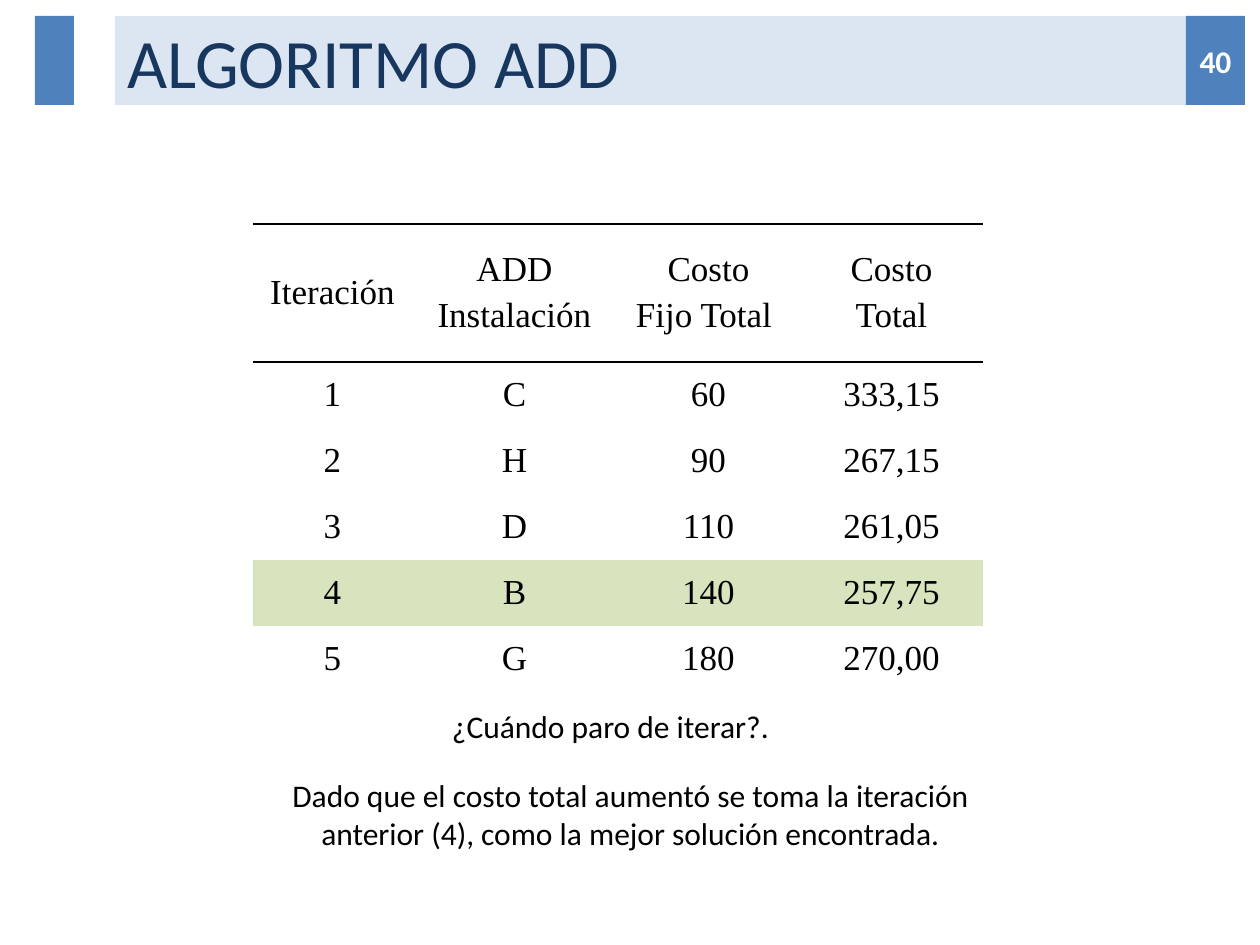
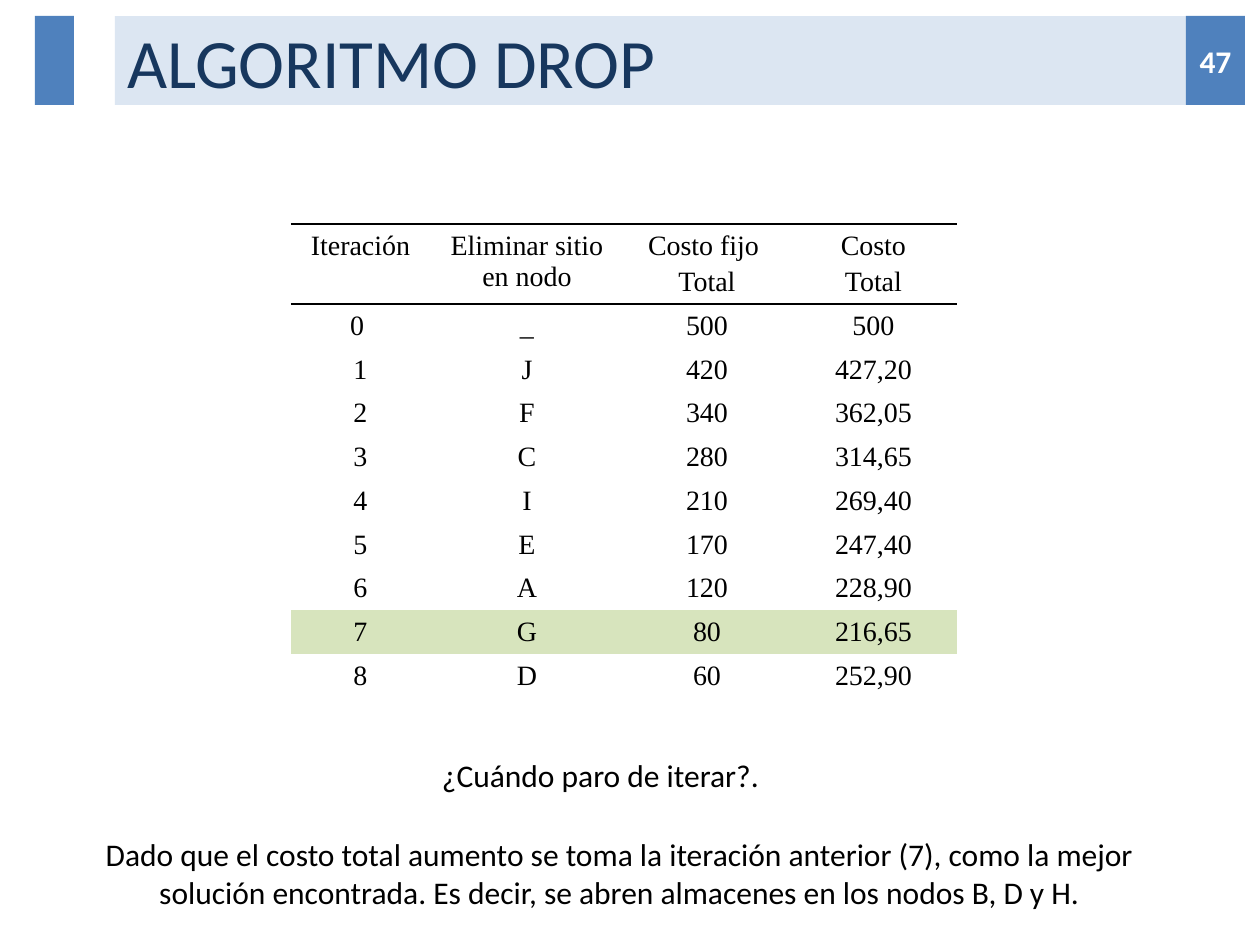
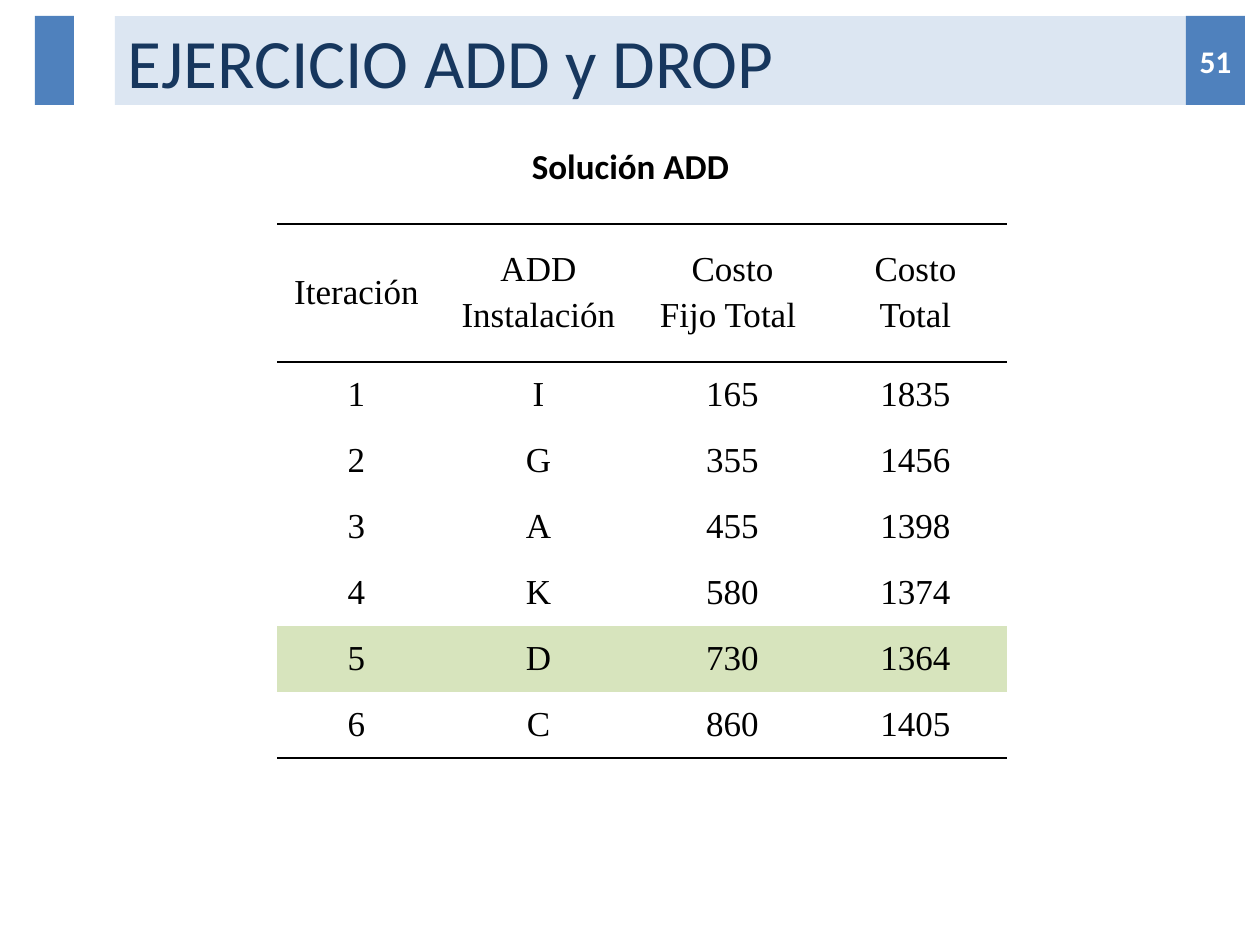
from dataclasses import dataclass

from lxml import etree
from pptx import Presentation
from pptx.dml.color import RGBColor
from pptx.enum.shapes import MSO_SHAPE
from pptx.enum.text import MSO_ANCHOR, MSO_AUTO_SIZE, PP_ALIGN
from pptx.oxml.ns import qn
from pptx.util import Emu, Pt

RECT = MSO_SHAPE.RECTANGLE
LEFT, CENTER = PP_ALIGN.LEFT, PP_ALIGN.CENTER
TOP, MIDDLE = MSO_ANCHOR.TOP, MSO_ANCHOR.MIDDLE
NO_FIT = MSO_AUTO_SIZE.NONE

PX_PER_INCH = 126
BLUE, PALE_BLUE, NAVY = "4F81BD", "DCE6F2", "17375E"
GREEN, BLACK, WHITE = "D7E4BD", "000000", "FFFFFF"
SANS, SERIF = "Calibri", "Times New Roman"
PLAIN_TABLE = "{2D5ABB26-0587-4C30-8999-92F81FD0307C}"
TITLE_ONLY = 5
BAND_TOP, BAND_H = 16, 89


@dataclass(frozen=True)
class Box:
    x: int
    y: int
    w: int
    h: int


@dataclass(frozen=True)
class Style:
    size: float
    color: str = BLACK
    font: str = SANS
    bold: bool = False
    align: PP_ALIGN = CENTER


@dataclass(frozen=True)
class Note:
    text: str
    box: Box
    style: Style
    anchor: MSO_ANCHOR = TOP


@dataclass(frozen=True)
class TableLook:
    cols: tuple[int, ...]
    header_h: int
    row_h: int
    size: int
    gap: int
    anchor: MSO_ANCHOR


@dataclass(frozen=True)
class CostTable:
    x: int
    look: TableLook
    rows: tuple[tuple[str, ...], ...]
    best: int
    closed: bool = False


@dataclass(frozen=True)
class Page:
    title: str
    number: int
    table: CostTable
    notes: tuple[Note, ...]


TITLE = Style(39.6, NAVY, align=LEFT)
NUMBER = Style(18, WHITE, bold=True)
BODY = Style(18)
HEADING = Style(20, bold=True)

# Frame shared by all slides
TITLE_BAND = Box(115, BAND_TOP, 1111, BAND_H)
SIDE_BAR = Box(35, BAND_TOP, 39, BAND_H)
NUMBER_TAB = Box(1186, BAND_TOP, 59, BAND_H)
TABLE_TOP = 224

ADD_LOOK = TableLook((159, 205, 183, 183), 138, 66, 20, 4, MIDDLE)
DROP_LOOK = TableLook((139, 194, 166, 167), 80, 43, 16, 3, TOP)
ADD_HEADER = ("Iteración", "ADD\nInstalación", "Costo\nFijo Total ", "Costo\nTotal")
DROP_HEADER = ("Iteración", "Eliminar sitio en nodo", "Costo fijo \nTotal", "Costo\nTotal")
QUESTION = "¿Cuándo paro de iterar?."

PAGES = (
    Page("ALGORITMO ADD", 40,
         CostTable(253, ADD_LOOK, (
             ADD_HEADER,
             ("1", "C", "60", "333,15"),
             ("2", "H", "90", "267,15"),
             ("3", "D", "110", "261,05"),
             ("4", "B", "140", "257,75"),
             ("5", "G", "180", "270,00"),
         ), best=4),
         (Note("Dado que el costo total aumentó se toma la iteración anterior (4), "
               "como la mejor solución encontrada.", Box(263, 770, 735, 89), BODY),
          Note(QUESTION, Box(243, 701, 735, 50), BODY))),
    Page("ALGORITMO DROP", 47,
         CostTable(291, DROP_LOOK, (
             DROP_HEADER,
             ("0 ", "_", "500", "500"),
             ("1", "J", "420", "427,20"),
             ("2", "F", "340", "362,05"),
             ("3", "C", "280", "314,65"),
             ("4", "I", "210", "269,40"),
             ("5", "E", "170", "247,40"),
             ("6", "A", "120", "228,90"),
             ("7", "G", "80", "216,65"),
             ("8", "D", "60", "252,90"),
         ), best=8),
         (Note("Dado que el costo total aumento se toma la iteración anterior (7), "
               "como la mejor solución encontrada. Es decir, se abren almacenes "
               "en los nodos B, D y H.", Box(74, 829, 1091, 89), BODY),
          Note(QUESTION, Box(233, 750, 735, 50), BODY))),
    Page("EJERCICIO ADD y DROP", 51,
         CostTable(277, ADD_LOOK, (
             ADD_HEADER,
             ("1", "I", "165", "1835"),
             ("2", "G", "355", "1456"),
             ("3", "A", "455", "1398"),
             ("4", "K", "580", "1374"),
             ("5", "D", "730", "1364"),
             ("6", "C", "860", "1405"),
         ), best=5, closed=True),
         (Note("Solución ADD", Box(25, 106, 1211, 118), HEADING, MIDDLE),)),
)


def px(n: int) -> Emu:
    return Emu(round(n * 914400 / PX_PER_INCH))


def place(box: Box) -> tuple[Emu, ...]:
    return px(box.x), px(box.y), px(box.w), px(box.h)


def rgb(color: str) -> RGBColor:
    return RGBColor.from_string(color)


def paint(sp, color: str) -> None:
    sp.fill.solid()
    sp.fill.fore_color.rgb = rgb(color)


def write(tf, text: str, style: Style, gap: int = 0) -> None:
    """Write one paragraph per line, with a gap between paragraphs."""
    for i, line in enumerate(text.split("\n")):
        p = tf.add_paragraph() if i else tf.paragraphs[0]
        p.alignment = style.align
        p.space_before = Pt(gap if i else 0)
        r = p.add_run()
        r.text = line
        r.font.size = Pt(style.size)
        r.font.name = style.font
        r.font.bold = style.bold
        r.font.color.rgb = rgb(style.color)


def add_bar(s, box: Box, color: str):
    sp = s.shapes.add_shape(RECT, *place(box))
    sp.shadow.inherit = False
    paint(sp, color)
    sp.line.fill.background()
    return sp


def add_frame(s, page: Page) -> None:
    """Title band, side bar and page number."""
    sp = s.shapes.title
    sp.left, sp.top, sp.width, sp.height = place(TITLE_BAND)
    paint(sp, PALE_BLUE)
    tf = sp.text_frame
    tf.auto_size = NO_FIT
    tf.vertical_anchor = MIDDLE
    write(tf, page.title, TITLE)

    add_bar(s, SIDE_BAR, BLUE)
    tf = add_bar(s, NUMBER_TAB, BLUE).text_frame
    tf.margin_left = tf.margin_right = 0
    tf.vertical_anchor = MIDDLE
    write(tf, str(page.number), NUMBER)


def add_note(s, note: Note) -> None:
    tf = s.shapes.add_textbox(*place(note.box)).text_frame
    tf.word_wrap = True
    tf.vertical_anchor = note.anchor
    write(tf, note.text, note.style)


def add_border(cell, side: str) -> None:
    """Rule one side of a cell; rules come before the fill in the XML."""
    ln = etree.Element(qn(f"a:{side}"), w=str(Pt(1)))
    fill = etree.SubElement(ln, qn("a:solidFill"))
    etree.SubElement(fill, qn("a:srgbClr"), val=BLACK)
    cell._tc.get_or_add_tcPr().insert(0, ln)


def add_cost_table(s, spec_table: CostTable) -> None:
    look, rows = spec_table.look, spec_table.rows
    last = len(rows) - 1
    heights = [look.header_h] + [look.row_h] * last
    box = Box(spec_table.x, TABLE_TOP, sum(look.cols), sum(heights))
    frame = s.shapes.add_table(len(rows), len(look.cols), *place(box))
    table = frame.table
    table.first_row = table.horz_banding = False
    next(frame.element.iter(qn("a:tableStyleId"))).text = PLAIN_TABLE
    for col, w in zip(table.columns, look.cols):
        col.width = px(w)
    for row, h in zip(table.rows, heights):
        row.height = px(h)

    style = Style(look.size, font=SERIF)
    for i, values in enumerate(rows):
        for j, value in enumerate(values):
            cell = table.cell(i, j)
            cell.vertical_anchor = look.anchor
            write(cell.text_frame, value, style, look.gap)
            if i == spec_table.best:
                paint(cell, GREEN)
            else:
                cell.fill.background()
            if i == 0 or (i == last and spec_table.closed):
                add_border(cell, "lnB")
            if i == 0:
                add_border(cell, "lnT")


def main() -> None:
    prs = Presentation()
    prs.slide_width, prs.slide_height = px(1260), px(945)
    for page in PAGES:
        s = prs.slides.add_slide(prs.slide_layouts[TITLE_ONLY])
        add_frame(s, page)
        add_cost_table(s, page.table)
        for note in page.notes:
            add_note(s, note)
    prs.save("out.pptx")


if __name__ == "__main__":
    main()
